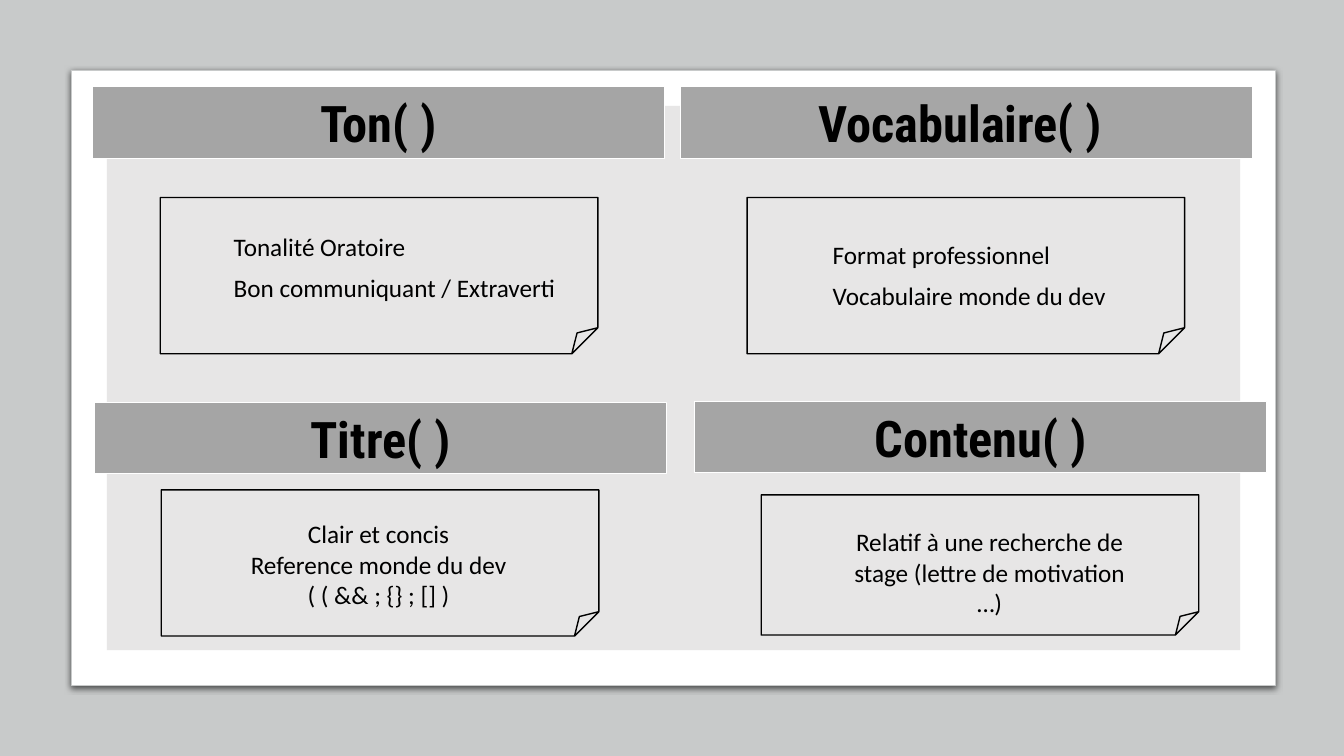
import pptx
import pptx.util
import pptx.dml.color
import pptx.enum.shapes
import pptx.enum.text
import pptx.oxml

Inches = pptx.util.Inches
Pt = pptx.util.Pt
RGBColor = pptx.dml.color.RGBColor
Kind = pptx.enum.shapes.MSO_SHAPE
Align = pptx.enum.text.PP_ALIGN
Anchor = pptx.enum.text.MSO_ANCHOR

BLACK = RGBColor(0, 0, 0)
WHITE = RGBColor(255, 255, 255)
BACK = RGBColor(0xC8, 0xCA, 0xCA)
PANEL = RGBColor(0xE7, 0xE6, 0xE6)
GREY = RGBColor(0xA5, 0xA5, 0xA5)
PALE = RGBColor(0xA6, 0xA6, 0xA6)

BAR = (5.67, 0.71)
NOTE = 4.34
CARDS = [
    dict(title="Ton( )", bar=(0.92, 0.86), fill=GREY,
         note=(1.59, 1.96, 1.55), body=(2.22, 2.16, 3.6),
         lines=["Tonalité Oratoire", "Bon communiquant / Extraverti"],
         align=Align.LEFT, lead=0.9, gap=10),
    dict(title="Vocabulaire( ) ", bar=(6.75, 0.86), fill=PALE,
         note=(7.41, 1.96, 1.55), body=(8.16, 2.24, 3.5),
         lines=["Format professionnel", "Vocabulaire monde du dev"],
         align=Align.LEFT, lead=0.9, gap=10),
    dict(title="Titre( )", bar=(0.94, 3.99), fill=GREY,
         note=(1.6, 4.86, 1.45), body=(2.27, 5.09, 2.97),
         lines=["Clair et concis",
                "Reference monde du dev ( ( && ; {} ; [] )"],
         align=Align.CENTER, lead=1.0, gap=0),
    dict(title="Contenu( )", bar=(6.89, 3.98), fill=GREY,
         note=(7.55, 4.91, 1.39), body=(8.33, 5.17, 2.97),
         lines=["Relatif à une recherche de stage (lettre de motivation …)"],
         align=Align.CENTER, lead=1.0, gap=0),
]

SHADOW = (
    '<a:effectLst xmlns:a="http://schemas.openxmlformats.org/drawingml/2006/main">'
    '<a:outerShdw blurRad="57150" dist="19050" dir="5400000" algn="ctr" rotWithShape="0">'
    '<a:srgbClr val="000000"><a:alpha val="63000"/></a:srgbClr>'
    '</a:outerShdw></a:effectLst>'
)


def draw(slide, kind, box, fill=None, line=None, width=0.75):
    shape = slide.shapes.add_shape(kind, *map(Inches, box))
    shape.shadow.inherit = False
    if fill is None:
        shape.fill.background()
    else:
        shape.fill.solid()
        shape.fill.fore_color.rgb = fill
    if line is None:
        shape.line.fill.background()
    else:
        shape.line.color.rgb = line
        shape.line.width = Pt(width)
    return shape


def write(shape, lines, font, size, bold=False, align=Align.CENTER, lead=1.0, gap=0):
    frame = shape.text_frame
    frame.text = "\n".join(lines)
    frame.word_wrap = True
    frame.vertical_anchor = Anchor.MIDDLE
    for index, para in enumerate(frame.paragraphs):
        para.alignment = align
        para.line_spacing = lead
        para.space_before = Pt(gap if index else 0)
        for run in para.runs:
            run.font.name = font
            run.font.size = Pt(size)
            run.font.bold = bold
            run.font.color.rgb = BLACK


def main():
    deck = pptx.Presentation()
    deck.slide_width = Inches(13.33)
    deck.slide_height = Inches(7.5)
    slide = deck.slides.add_slide(deck.slide_layouts[6])

    draw(slide, Kind.RECTANGLE, (0, 0, 13.33, 7.5), BACK)
    sheet = draw(slide, Kind.ROUNDED_RECTANGLE, (0.71, 0.7, 11.94, 6.1), WHITE, BACK)
    sheet.adjustments[0] = 0
    props = sheet.element.spPr
    props.remove(props[-1])
    props.append(pptx.oxml.parse_xml(SHADOW))
    draw(slide, Kind.RECTANGLE, (1.06, 1.05, 11.24, 5.4), PANEL)

    for card in CARDS:
        bar = draw(slide, Kind.RECTANGLE, card["bar"] + BAR, card["fill"], WHITE)
        write(bar, [card["title"]], "Roboto Condensed", 36, True)
        left, top, height = card["note"]
        draw(slide, Kind.FOLDED_CORNER, (left, top, NOTE, height), None, BLACK, 1)
        left, top, width = card["body"]
        body = slide.shapes.add_textbox(*map(Inches, (left, top, width, 1.01)))
        write(body, card["lines"], "Calibri", 18,
              align=card["align"], lead=card["lead"], gap=card["gap"])

    deck.save("out.pptx")


if __name__ == "__main__":
    main()
